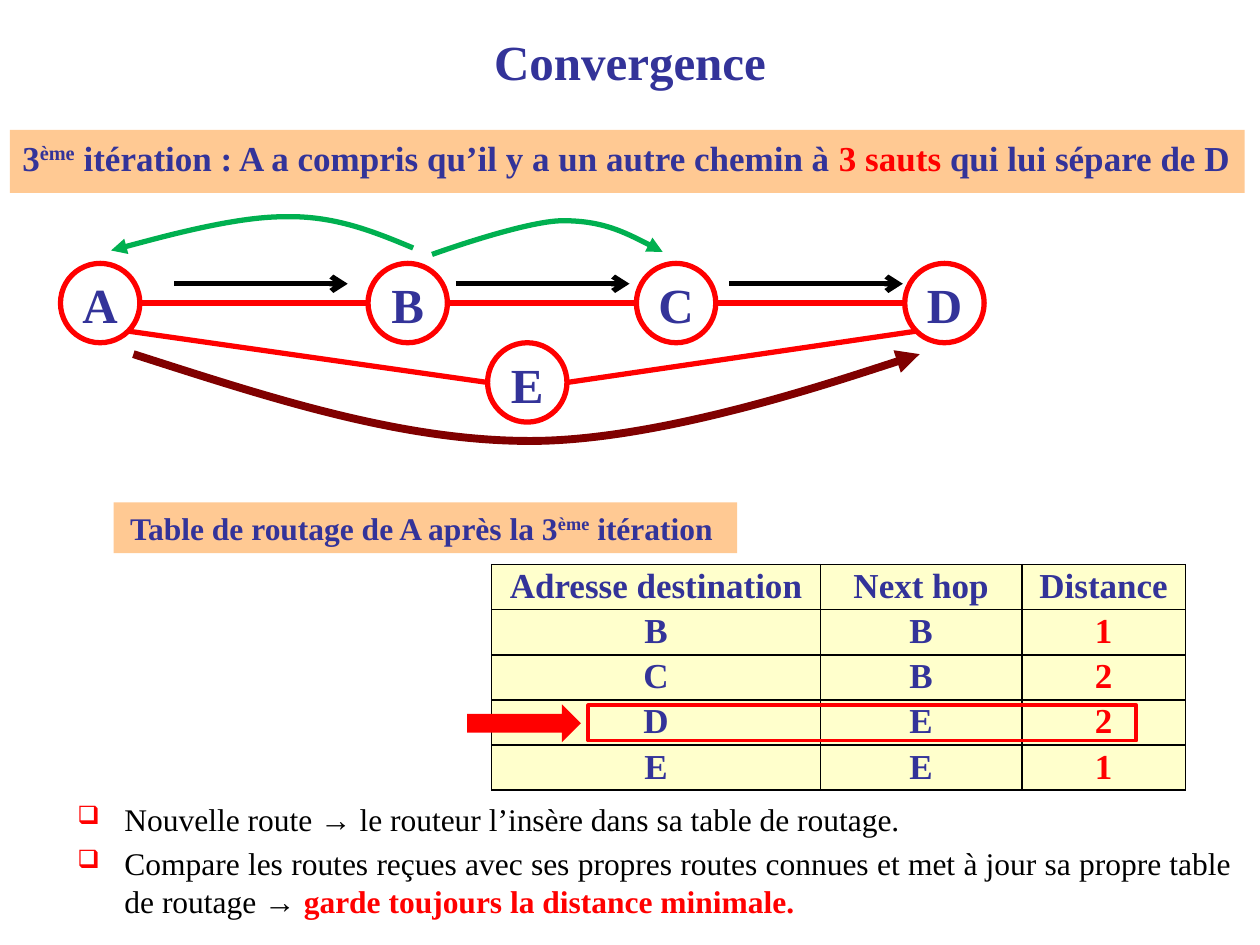
from lxml import etree
from pptx import Presentation
from pptx.dml.color import RGBColor
from pptx.enum.shapes import MSO_CONNECTOR, MSO_SHAPE
from pptx.enum.text import MSO_ANCHOR, PP_ALIGN
from pptx.oxml.ns import qn
from pptx.util import Cm, Pt

LINE = MSO_CONNECTOR.STRAIGHT
OVAL, RECT, ARROW = MSO_SHAPE.OVAL, MSO_SHAPE.RECTANGLE, MSO_SHAPE.RIGHT_ARROW
LEFT, MID, JUST = PP_ALIGN.LEFT, PP_ALIGN.CENTER, PP_ALIGN.JUSTIFY
TOP, CENTRE = MSO_ANCHOR.TOP, MSO_ANCHOR.MIDDLE

BLUE, RED, BLACK, GREEN, BROWN = "333399", "FF0000", "000000", "00B050", "800000"
PEACH, CREAM = "FFC993", "FFFFCC"
SIZE = 1.6  # node diameter, cm
NODES = {"A": (1.22, 5.31), "B": (7.42, 5.31), "C": (12.83, 5.31),
         "D": (18.24, 5.31), "E": (9.83, 6.91)}
DIAG = 0.707
EAST, WEST = (1, 0), (-1, 0)
LINKS = [("A", EAST, "B", WEST), ("B", EAST, "C", WEST), ("C", EAST, "D", WEST),
         ("A", (DIAG, DIAG), "E", WEST), ("E", EAST, "D", (-DIAG, DIAG))]
ROWS = [("Adresse destination", "Next hop", "Distance"),
        ("B", "B", "1"), ("C", "B", "2"), ("D", "E", "2"), ("E", "E", "1")]
POINTS = [
    [("Nouvelle route → le routeur l’insère dans sa table de routage.", {})],
    [("Compare les routes reçues avec ses propres routes connues et met à jour "
      "sa propre table de routage → ", {}),
     ("garde toujours la distance minimale. ", {"color": RED, "bold": True})],
]


def rgb(code):
    return RGBColor.from_string(code)


def cms(*vals):
    return [Cm(v) for v in vals]


def apply(obj, form):
    for name, val in form.items():
        setattr(obj, name, val)


def sub(node, tag, **attrs):
    return etree.SubElement(node, qn(tag), attrs)


def write(para, runs, size, align=LEFT, color=BLUE, bold=True):
    """Fill a paragraph from (text, changes) pairs; "up" raises a run."""
    apply(para, {"alignment": align, "space_before": Pt(size * 0.2)})
    for text, diff in runs:
        form = {"name": "Times New Roman", "size": Pt(size), "bold": bold} | diff
        tint, up = form.pop("color", color), form.pop("up", False)
        run = para.add_run()
        run.text = text
        apply(run.font, form)
        run.font.color.rgb = rgb(tint)
        if up:
            run._r.get_or_add_rPr().set("baseline", "30000")


def stroke(item, color, width, tip=None):
    item.line.color.rgb = rgb(color)
    item.line.width = Pt(width)
    if tip:
        sub(item.line._get_or_add_ln(), "a:tailEnd", type=tip)


def add_box(slide, kind, box, fill=None, edge=None, width=3):
    shape = slide.shapes.add_shape(kind, *cms(*box))
    shape.shadow.inherit = False
    if fill:
        shape.fill.solid()
        shape.fill.fore_color.rgb = rgb(fill)
    else:
        shape.fill.background()
    if edge:
        stroke(shape, edge, width)
    else:
        shape.line.fill.background()
    return shape


def add_node(slide, name, spot):
    shape = add_box(slide, OVAL, (*spot, SIZE, SIZE), edge=RED)
    frame = shape.text_frame
    apply(frame, {"margin_left": 0, "margin_right": 0, "margin_top": 0,
                  "margin_bottom": 0, "vertical_anchor": TOP})
    write(frame.paragraphs[0], [(name, {})], 28, MID)


def rim(name, side):
    """Point on a node's edge in the given direction."""
    return [v + SIZE / 2 * (1 + d) for v, d in zip(NODES[name], side)]


def add_line(slide, start, end, color, tip=None):
    line = slide.shapes.add_connector(LINE, *cms(*start, *end))
    stroke(line, color, 3, tip)
    sub(line._element.spPr, "a:effectLst")


def add_curve(slide, color, width, start, *pts):
    """Draw Bezier arcs; each three points are two controls and an end."""
    pen = slide.shapes.build_freeform(*cms(*start))
    pen.add_line_segments([cms(*p) for p in pts], close=False)
    shape = pen.convert_to_shape()
    legs = list(shape._element.iter(qn("a:lnTo")))
    for i in range(0, len(legs), 3):
        arc = etree.Element(qn("a:cubicBezTo"))
        legs[i].addprevious(arc)
        for leg in legs[i:i + 3]:
            arc.append(leg[0])
            leg.getparent().remove(leg)
    shape.shadow.inherit = False
    shape.fill.background()
    stroke(shape, color, width, "triangle")


def add_banner(slide, box, runs, size, align, wrap):
    frame = add_box(slide, RECT, box, fill=PEACH).text_frame
    apply(frame, {"word_wrap": wrap, "vertical_anchor": TOP})
    write(frame.paragraphs[0], runs, size, align)


def format_cell(cell, text, color):
    apply(cell, {"margin_left": Cm(0.18), "margin_right": Cm(0.18),
                 "margin_top": 0, "margin_bottom": 0})
    para = cell.text_frame.paragraphs[0]
    write(para, [(text, {})], 20, MID, color)
    para.line_spacing = 1.07
    props = cell._tc.get_or_add_tcPr()
    for side in "LRTB":
        edge = sub(props, f"a:ln{side}", w=str(Pt(1)))
        sub(sub(edge, "a:solidFill"), "a:srgbClr", val=BLACK)
    cell.fill.solid()
    cell.fill.fore_color.rgb = rgb(CREAM)


def add_grid(slide):
    high = 0.91
    box = cms(9.91, 11.38, 13.99, high * len(ROWS))
    table = slide.shapes.add_table(len(ROWS), 3, *box).table
    for col, width in zip(table.columns, (6.63, 4.06, 3.3)):
        col.width = Cm(width)
    for r, row in enumerate(ROWS):
        table.rows[r].height = Cm(high)
        for c, text in enumerate(row):
            format_cell(table.cell(r, c), text, RED if r and c == 2 else BLUE)


def add_list(slide):
    frame = slide.shapes.add_textbox(*cms(0.2, 16, 24.89, 2.95)).text_frame
    frame.word_wrap = True
    for i, runs in enumerate(POINTS):
        para = frame.add_paragraph() if i else frame.paragraphs[0]
        para.level = 1
        write(para, runs, 18, JUST, BLACK, False)
        props = para._p.get_or_add_pPr()
        props.set("marL", str(Cm(2.06)))
        props.set("indent", str(Cm(-0.95)))
        sub(sub(props, "a:buClr"), "a:srgbClr", val=RED)
        sub(props, "a:buSzPct", val="80000")
        sub(props, "a:buChar", char="❑")


def add_title(slide):
    title = slide.shapes.title
    apply(title, dict(zip(("left", "top", "width", "height"),
                          cms(1.27, 0.56, 22.86, 1.35))))
    title.text_frame.vertical_anchor = CENTRE
    write(title.text_frame.paragraphs[0], [("Convergence", {})], 28, MID)


def main():
    deck = Presentation()
    deck.slide_width, deck.slide_height = cms(25.4, 19.05)
    slide = deck.slides.add_slide(deck.slide_layouts[5])
    add_title(slide)
    for name, spot in NODES.items():
        add_node(slide, name, spot)
    for one, out, two, into in LINKS:
        add_line(slide, rim(one, out), rim(two, into), RED)
    add_banner(slide, (0.2, 2.62, 24.89, 1.27), [
        ("3", {}), ("ème", {"up": True}),
        (" itération : A a compris qu’il y a un autre chemin à ", {}),
        ("3 sauts", {"color": RED}), (" qui lui sépare de D", {})], 20, LEFT, True)
    for x in (3.51, 9.19, 14.7):
        add_line(slide, (x, 5.72), (x + 3.5, 5.72), BLACK, "arrow")
    add_grid(slide)
    add_box(slide, RECT, (11.86, 14.22, 11.05, 0.71), edge=RED, width=2.25)
    add_banner(slide, (2.29, 10.13, 12.57, 1.02), [
        ("Table de routage de A après la 3", {}), ("ème", {"up": True}),
        (" itération ", {})], 18, MID, False)
    add_curve(slide, GREEN, 3, (8.33, 5), (7.54, 4.67), (6.73, 4.34), (5.72, 4.37),
              (4.7, 4.37), (2.24, 5.05), (2.24, 5.05))
    add_list(slide)
    add_curve(slide, GREEN, 3, (8.71, 5.13), (8.71, 5.13), (10.59, 4.45), (11.35, 4.45),
              (12.14, 4.45), (12.75, 4.75), (13.36, 5.08))
    add_box(slide, ARROW, (9.42, 14.2, 2.29, 0.76), fill=RED)
    add_curve(slide, BROWN, 4.5, (2.69, 7.14), (5.38, 8), (8.05, 8.89), (10.69, 8.89),
              (13.34, 8.89), (18.54, 7.14), (18.54, 7.14))
    deck.save("out.pptx")


if __name__ == "__main__":
    main()
